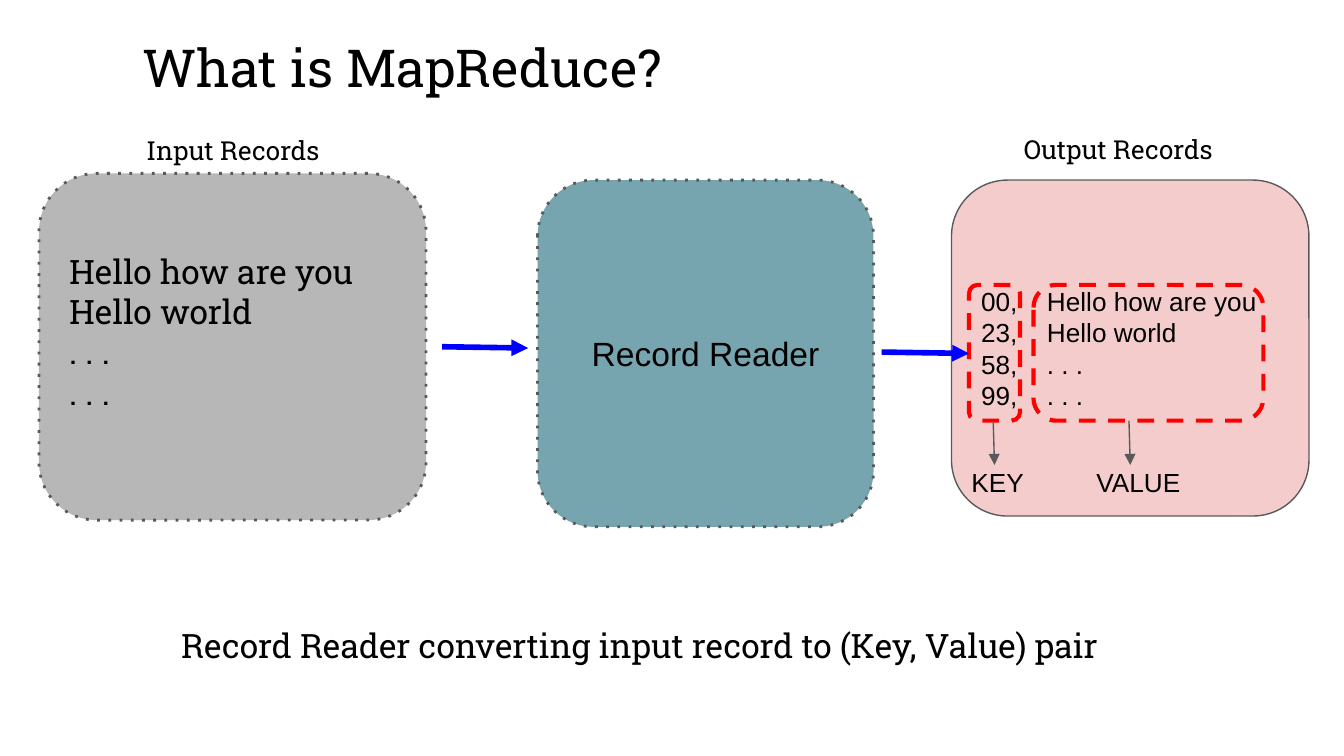
from dataclasses import dataclass

from lxml import etree
from pptx import Presentation
from pptx.dml.color import RGBColor as Color
from pptx.enum.shapes import MSO_CONNECTOR_TYPE as Connector, MSO_SHAPE as Shape
from pptx.enum.text import MSO_ANCHOR as Anchor, MSO_AUTO_SIZE as AutoSize, PP_ALIGN as Align
from pptx.oxml.ns import qn
from pptx.util import Inches, Pt


@dataclass(frozen=True)
class Theme:
    ink: str = "000000"
    outline: str = "595959"
    input_fill: str = "B7B7B7"
    reader_fill: str = "76A5AF"
    output_fill: str = "F4CCCC"
    highlight: str = "FF0000"
    flow: str = "0000FF"
    serif: str = "Roboto Slab"
    sans: str = "Arial"
    title: int = 28
    body: int = 18
    label: int = 14


THEME = Theme()


def write_text(shape, lines, font=THEME.serif, size=THEME.body, align=Align.LEFT,
               anchor=Anchor.TOP, bottom=0.1, tab=None):
    """Fill a shape with one paragraph per line; tab is a tab stop in inches."""
    frame = shape.text_frame
    frame.word_wrap = True
    frame.vertical_anchor = anchor
    frame.margin_left = frame.margin_right = frame.margin_top = Inches(0.1)
    frame.margin_bottom = Inches(bottom)
    for index, line in enumerate(lines):
        para = frame.add_paragraph() if index else frame.paragraphs[0]
        para.alignment = align
        span = para.add_run()
        span.text = line
        span.font.name = font
        span.font.size = Pt(size)
        span.font.color.rgb = Color.from_string(THEME.ink)
        if tab:
            stops = etree.SubElement(para._p.get_or_add_pPr(), qn("a:tabLst"))
            etree.SubElement(stops, qn("a:tab"), pos=str(Inches(tab)), algn="l")


def add_label(page, box, text, **text_format):
    label = page.shapes.add_textbox(*map(Inches, box))
    write_text(label, [text], **text_format)
    label.text_frame.auto_size = AutoSize.SHAPE_TO_FIT_TEXT


def add_panel(page, box, fill=None, line=THEME.outline, width=0.75, dash="solid"):
    panel = page.shapes.add_shape(Shape.ROUNDED_RECTANGLE, *map(Inches, box))
    panel.shadow.inherit = False
    if fill:
        panel.fill.solid()
        panel.fill.fore_color.rgb = Color.from_string(fill)
    else:
        panel.fill.background()
    panel.line.color.rgb = Color.from_string(line)
    panel.line.width = Pt(width)
    # The plain "dot" preset has no member in the dash enumeration
    etree.SubElement(panel.line._get_or_add_ln(), qn("a:prstDash"), val=dash)
    return panel


def add_arrow(page, start, end, color=THEME.outline, width=0.75):
    arrow = page.shapes.add_connector(Connector.STRAIGHT, *map(Inches, (*start, *end)))
    arrow.line.color.rgb = Color.from_string(color)
    arrow.line.width = Pt(width)
    etree.SubElement(arrow.line._get_or_add_ln(), qn("a:tailEnd"), type="triangle")
    etree.SubElement(arrow._element.spPr, qn("a:effectLst"))


def input_records(page, box):
    left, top, _, _ = box
    panel = add_panel(page, box, THEME.input_fill, width=1.5, dash="dot")
    # The deeper bottom margin lifts the text above the middle
    write_text(panel, ["Hello how are you", "Hello world", ". . .", ". . ."],
               anchor=Anchor.MIDDLE, bottom=0.33)
    add_label(page, (left + 0.7, top - 0.39, 1.98, 0.44), "Input Records", size=THEME.label)


def record_reader(page, box):
    panel = add_panel(page, box, THEME.reader_fill, width=1.5, dash="dot")
    write_text(panel, ["Record Reader"], font=THEME.sans, align=Align.CENTER,
               anchor=Anchor.MIDDLE)


def output_records(page, box):
    left, top, _, _ = box
    panel = add_panel(page, box, THEME.output_fill)
    records = [("00,", "Hello how are you"), ("23,", "Hello world"),
               ("58,", ". . ."), ("99,", ". . .")]
    write_text(panel, ["\t".join(record) for record in records], font=THEME.sans,
               size=THEME.label, anchor=Anchor.MIDDLE, tab=0.49)
    add_label(page, (left + 0.44, top - 0.45, 2.13, 0.44), "Output Records", size=THEME.label)

    # Each part: name, frame offset and width, arrow offset, name offset and width
    parts = [("KEY", 0.13, 0.38, 0.31, 0.05, 0.64),
             ("VALUE", 0.61, 1.71, 1.32, 0.98, 0.86)]
    frame_top, frame_height = top + 0.78, 1.01
    frame_bottom = frame_top + frame_height
    for name, frame_x, frame_width, arrow_x, name_x, name_width in parts:
        add_panel(page, (left + frame_x, frame_top, frame_width, frame_height),
                  line=THEME.highlight, width=2.25, dash="dash")
        add_arrow(page, (left + arrow_x, frame_bottom), (left + arrow_x + 0.01, frame_bottom + 0.33))
        add_label(page, (left + name_x, frame_bottom + 0.24, name_width, 0.44), name,
                  font=THEME.sans, size=THEME.label)


def build_slide(deck):
    page = deck.slides.add_slide(deck.slide_layouts[6])
    # Title and caption
    add_label(page, (0.96, 0.16, 4.62, 0.67), "What is MapReduce?", size=THEME.title)
    add_label(page, (1.25, 4.55, 7.39, 0.5),
              "Record Reader converting input record to (Key, Value) pair")
    # Stages from left to right
    input_records(page, (0.29, 1.29, 2.88, 2.58))
    record_reader(page, (4, 1.34, 2.5, 2.58))
    output_records(page, (7.08, 1.34, 2.66, 2.5))
    # Flow between the stages
    for start, end in [((3.29, 2.58), (3.93, 2.59)), ((6.56, 2.62), (7.21, 2.63))]:
        add_arrow(page, start, end, THEME.flow, width=3)


def main():
    deck = Presentation()
    # Widescreen, 16 to 9
    deck.slide_width = Inches(10)
    deck.slide_height = deck.slide_width * 9 // 16
    build_slide(deck)
    deck.save("out.pptx")


if __name__ == "__main__":
    main()
